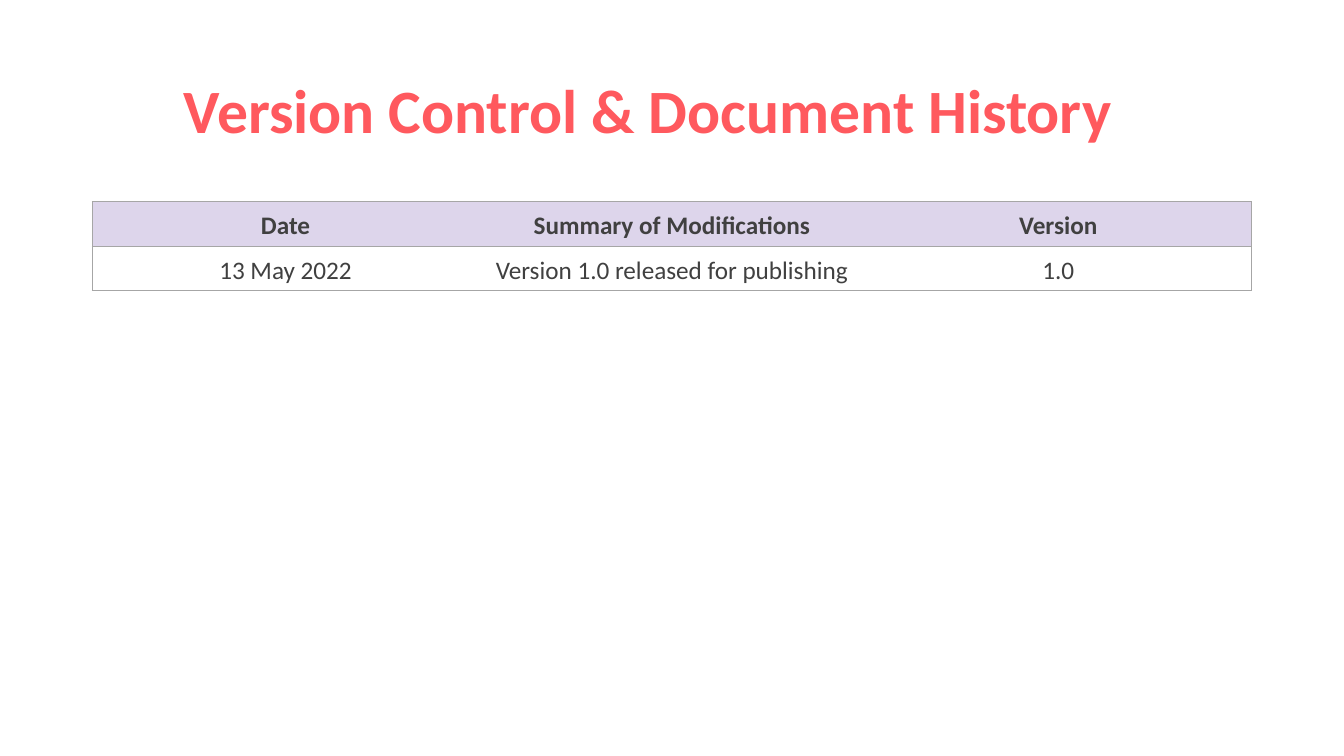
import pptx
import pptx.util
import pptx.dml.color
import pptx.enum.text
import pptx.oxml
import pptx.oxml.ns

Pt = pptx.util.Pt
RGBColor = pptx.dml.color.RGBColor
CENTER = pptx.enum.text.PP_ALIGN.CENTER
MIDDLE = pptx.enum.text.MSO_ANCHOR.MIDDLE

CORAL = RGBColor(0xFF, 0x59, 0x5E)
CHARCOAL = RGBColor(0x40, 0x40, 0x40)
LILAC = RGBColor(0xDD, 0xD5, 0xEB)
GREY = RGBColor(0xA6, 0xA6, 0xA6)

TITLE_FONT = {"name": "Calibri", "size": Pt(44), "bold": True}
TITLE_PARAGRAPH = {"alignment": CENTER, "line_spacing": 0.9}
ENTRY_FONT = {"name": "Calibri", "size": Pt(18)}
ENTRY_PARAGRAPH = {
    "alignment": CENTER,
    "line_spacing": 1.14,
    "space_before": Pt(6),
    "space_after": Pt(6),
}
HISTORY = [
    ("Date", "Summary of Modifications", "Version"),
    ("13 May 2022", "Version 1.0 released for publishing", "1.0"),
]


def apply_format(target, values):
    """Set each named attribute of the target."""
    for name, value in values.items():
        setattr(target, name, value)


def write_text(paragraph, words, paragraph_format, font_format, color):
    """Fill a paragraph with one formatted run."""
    apply_format(paragraph, paragraph_format)
    run = paragraph.add_run()
    run.text = words
    apply_format(run.font, font_format)
    run.font.color.rgb = color


def set_borders(cell, visible):
    """Draw the visible sides of a cell and clear the others."""
    properties = cell._tc.get_or_add_tcPr()
    for position, side in enumerate("LRTB"):
        paint = (
            f'<a:solidFill><a:srgbClr val="{GREY}"/></a:solidFill>'
            if side in visible
            else "<a:noFill/>"
        )
        border = pptx.oxml.parse_xml(
            f'<a:ln{side} {pptx.oxml.ns.nsdecls("a")} w="{Pt(1)}">{paint}</a:ln{side}>'
        )
        properties.insert(position, border)


def add_title(slide, left, top, width, height):
    """Place the centred heading in its box."""
    heading = slide.shapes.add_textbox(left, top, width, height).text_frame
    apply_format(heading, {"word_wrap": True, "vertical_anchor": MIDDLE})
    write_text(heading.paragraphs[0], "Version Control & Document History",
               TITLE_PARAGRAPH, TITLE_FONT, CORAL)


def add_history(slide, left, top, width, height):
    """Place the version history table in its box."""
    history = slide.shapes.add_table(
        len(HISTORY), len(HISTORY[0]), left, top, width, height
    ).table
    history.horz_banding = False
    last_column = len(HISTORY[0]) - 1
    for row, entries in enumerate(HISTORY):
        is_header = row == 0
        for column, words in enumerate(entries):
            cell = history.cell(row, column)
            if is_header:
                cell.fill.solid()
                cell.fill.fore_color.rgb = LILAC
            else:
                cell.fill.background()
            sides = "TB" + "L" * (column == 0) + "R" * (column == last_column)
            set_borders(cell, sides)
            write_text(cell.text_frame.paragraphs[0], words, ENTRY_PARAGRAPH,
                       {**ENTRY_FONT, "bold": is_header}, CHARCOAL)


def main():
    """Build and save the version control slide."""
    deck = pptx.Presentation()
    apply_format(deck, {"slide_width": Pt(960), "slide_height": Pt(540)})
    slide = deck.slides.add_slide(deck.slide_layouts[6])
    add_title(slide, Pt(66), Pt(28.75), Pt(794), Pt(104.4))
    add_history(slide, Pt(66), Pt(144), Pt(828), Pt(56))
    deck.save("out.pptx")


if __name__ == "__main__":
    main()
